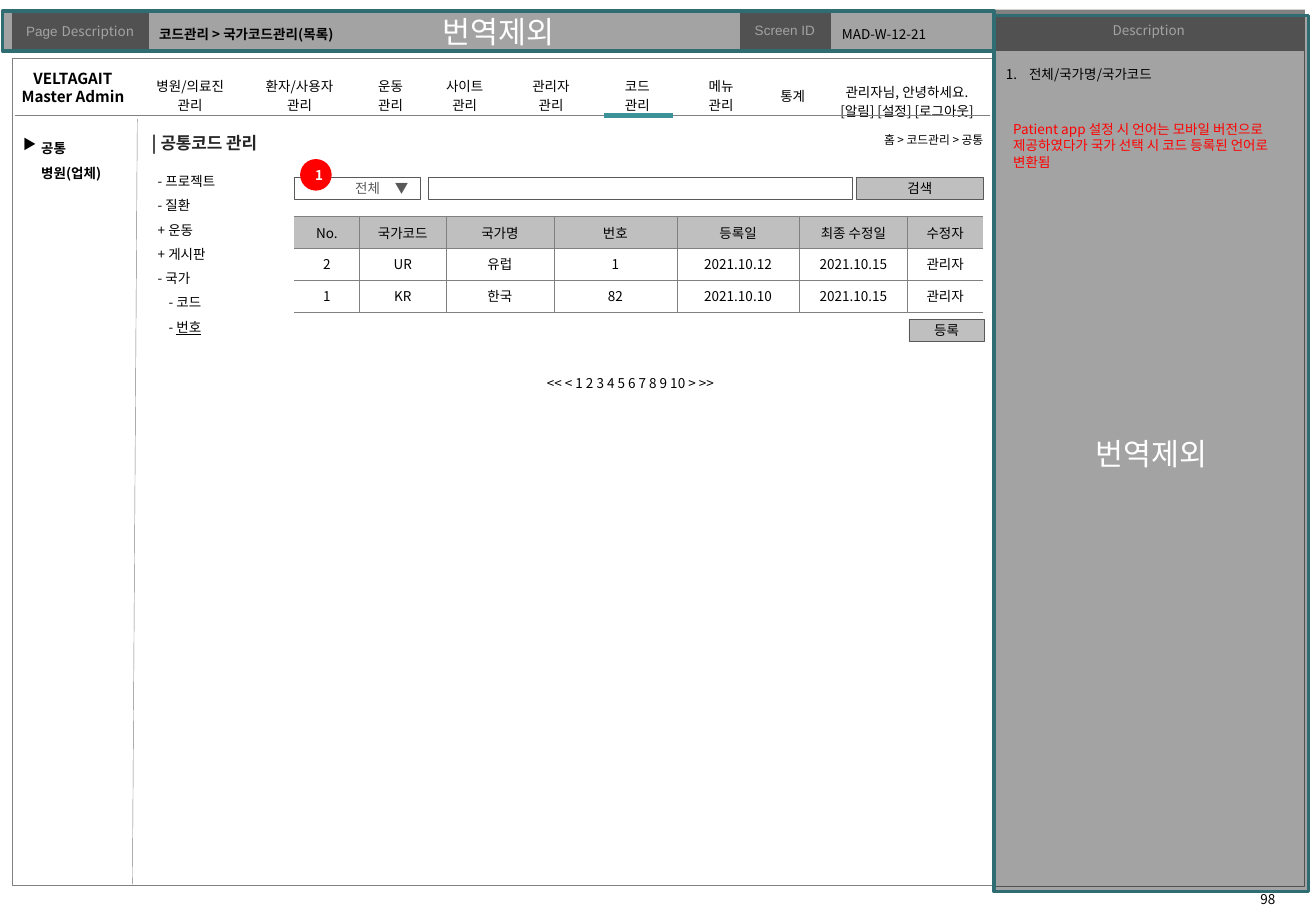
from dataclasses import dataclass
from typing import Optional

from lxml import etree
from pptx import Presentation
from pptx.dml.color import RGBColor
from pptx.enum.shapes import MSO_CONNECTOR, MSO_SHAPE
from pptx.enum.text import MSO_ANCHOR, PP_ALIGN
from pptx.oxml.ns import qn
from pptx.util import Inches, Pt

LEFT, CENTER, RIGHT = PP_ALIGN.LEFT, PP_ALIGN.CENTER, PP_ALIGN.RIGHT
TOP, MIDDLE = MSO_ANCHOR.TOP, MSO_ANCHOR.MIDDLE
RECT, OVAL = MSO_SHAPE.RECTANGLE, MSO_SHAPE.OVAL
STRAIGHT = MSO_CONNECTOR.STRAIGHT
NOTO = "Noto Sans CJK KR"
COLORS = {
    "black": "000000", "white": "FFFFFF", "gray": "808080", "silver": "BFBFBF",
    "dark": "595959", "title": "262626", "red": "FF0000", "teal": "3B9399",
    "frame": "2F6D72",
}


@dataclass
class Run:
    text: str
    size: float = 8
    color: str = "black"
    bold: bool = False
    underline: bool = False
    font: str = NOTO


@dataclass
class Para:
    runs: list[Run]
    align: PP_ALIGN = LEFT
    spacing: float = 1.0
    indent: float = 0
    numbered: bool = False


@dataclass
class Box:
    at: tuple[float, float, float, float]
    paras: list[Para]
    anchor: MSO_ANCHOR = TOP
    side: float = 0.1


@dataclass
class Panel:
    at: tuple[float, float, float, float]
    fill: Optional[str] = None
    line: Optional[str] = None
    width: float = 0.25
    run: Optional[Run] = None
    align: PP_ALIGN = CENTER
    alpha: int = 100
    kind: MSO_SHAPE = RECT


@dataclass
class Cell:
    paras: list[Para]
    fill: Optional[str] = None
    side: float = 0.1
    top: float = 0.05
    bottom: float = 0.05


@dataclass
class Rule:
    start: tuple[float, float]
    end: tuple[float, float]
    color: str = "gray"
    width: float = 0.25


def rgb(name: str) -> RGBColor:
    return RGBColor.from_string(COLORS[name])


def lines(*texts: str, align: PP_ALIGN = CENTER, spacing: float = 1.0, **style) -> list[Para]:
    return [Para([Run(t, **style)], align, spacing) for t in texts]


def write(tf, paras: list[Para]) -> None:
    for i, para in enumerate(paras):
        p = tf.add_paragraph() if i else tf.paragraphs[0]
        p.alignment, p.line_spacing = para.align, para.spacing
        if para.indent:
            p._p.get_or_add_pPr().set("marL", str(Inches(para.indent)))
        if para.numbered:
            pPr = p._p.get_or_add_pPr()
            pPr.set("indent", str(-Inches(para.indent)))
            etree.SubElement(pPr, qn("a:buAutoNum"), type="arabicPeriod")
        for run in para.runs:
            r = p.add_run()
            r.text = run.text
            r.font.size, r.font.name = Pt(run.size), run.font
            r.font.bold, r.font.underline = run.bold, run.underline
            r.font.color.rgb = rgb(run.color)
            etree.SubElement(r._r.get_or_add_rPr(), qn("a:ea"), typeface=run.font)


def add_box(s, box: Box) -> None:
    tf = s.shapes.add_textbox(*map(Inches, box.at)).text_frame
    tf.word_wrap, tf.vertical_anchor = True, box.anchor
    tf.margin_left = tf.margin_right = Inches(box.side)
    write(tf, box.paras)


def add_panel(s, panel: Panel) -> None:
    sp = s.shapes.add_shape(panel.kind, *map(Inches, panel.at))
    sp.shadow.inherit = False
    if panel.fill:
        sp.fill.solid()
        sp.fill.fore_color.rgb = rgb(panel.fill)
        if panel.alpha < 100:
            color = sp._element.spPr.find(".//" + qn("a:srgbClr"))
            etree.SubElement(color, qn("a:alpha"), val=str(panel.alpha * 1000))
    else:
        sp.fill.background()
    if panel.line:
        sp.line.color.rgb = rgb(panel.line)
        sp.line.width = Pt(panel.width)
    else:
        sp.line.fill.background()
    if panel.run:
        sp.text_frame.word_wrap, sp.text_frame.vertical_anchor = True, MIDDLE
        write(sp.text_frame, [Para([panel.run], panel.align)])


def add_rule(s, rule: Rule) -> None:
    c = s.shapes.add_connector(STRAIGHT, *map(Inches, rule.start + rule.end))
    c.line.color.rgb, c.line.width = rgb(rule.color), Pt(rule.width)
    etree.SubElement(c._element.spPr, qn("a:effectLst"))


def add_grid(s, left: float, top: float, widths: list[float], height: float,
             rows: list[list[Cell]], sides: str = "", open_ends: bool = False) -> None:
    frame = s.shapes.add_table(len(rows), len(widths), Inches(left), Inches(top),
                               Inches(sum(widths)), Inches(height * len(rows)))
    table = frame.table
    table.first_row = table.horz_banding = False
    for col, width in zip(table.columns, widths):
        col.width = Inches(width)
    for y, row in enumerate(rows):
        for x, item in enumerate(row):
            cell = table.cell(y, x)
            cell.vertical_anchor = MIDDLE
            cell.margin_left = cell.margin_right = Inches(item.side)
            cell.margin_top, cell.margin_bottom = Inches(item.top), Inches(item.bottom)
            outer = {"L": x == 0, "R": x == len(widths) - 1}
            for side in "LRTB":
                ln = etree.SubElement(cell._tc.get_or_add_tcPr(), qn("a:ln" + side),
                                      w=str(Pt(0.25)))
                if side in sides and not (open_ends and outer.get(side)):
                    solid = etree.SubElement(ln, qn("a:solidFill"))
                    etree.SubElement(solid, qn("a:srgbClr"), val=COLORS["gray"])
                else:
                    etree.SubElement(ln, qn("a:noFill"))
            if item.fill:
                cell.fill.solid()
                cell.fill.fore_color.rgb = rgb(item.fill)
            else:
                cell.fill.background()
            write(cell.text_frame, item.paras)
            if not item.paras:
                p = cell.text_frame.paragraphs[0]
                etree.SubElement(p._p, qn("a:endParaRPr"), sz="800")


HEADER = [Cell(paras, fill, 0.04, 0.04, 0.04) for paras, fill in (
    ([Para([Run("Page ", color="white", font="Arial"),
            Run("Description", color="white")], CENTER)], "gray"),
    ([], "white"),
    (lines("Screen ID", color="white", font="Arial"), "gray"),
    ([], "white"),
)]
MENUS = [(name, "관리") for name in
         ("병원/의료진", "환자/사용자", "운동", "사이트", "관리자", "코드", "메뉴")]
NAV = [Cell(lines(*texts), bottom=0.15) for texts in MENUS + [("통계",)]]
NAV.append(Cell(lines("관리자님, 안녕하세요.", "[알림] [설정] [로그아웃]")))
COUNTRIES = [
    ("No.", "국가코드", "국가명", "번호", "등록일", "최종 수정일", "수정자"),
    ("2", "UR", "유럽", "1", "2021.10.12", "2021.10.15", "관리자"),
    ("1", "KR", "한국", "82", "2021.10.10", "2021.10.15", "관리자"),
]
EXCLUDED = Run("번역제외", 18, "white")
FRAMES = [
    Panel((0.1, 0.48, 8.07, 6.81), line="gray"),
    Panel((8.17, 0.39, 2.56, 6.91), line="gray"),
    Panel((8.17, 0.08, 2.57, 0.34), "gray", run=Run("Description", color="white")),
    Panel((8.18, 0.13, 2.59, 7.21), "black", "frame", 2, EXCLUDED, alpha=36),
    Panel((0.02, 0.09, 8.16, 0.33), "black", "frame", 2, EXCLUDED, alpha=36),
]
RULES = [Rule((1.13, 0.98), (1.09, 7.28)), Rule((0.12, 0.95), (8.15, 0.95)),
         Rule((4.97, 0.95), (5.54, 0.95), "teal", 3)]
CONTROLS = [
    Panel((7.48, 2.63, 0.62, 0.18), "silver", "dark", run=Run("등록")),
    Panel((2.42, 1.46, 1.04, 0.18), None, "dark", run=Run("▼", color="dark"), align=RIGHT),
    Panel((3.52, 1.46, 3.49, 0.18), None, "dark"),
    Panel((7.05, 1.46, 1.04, 0.18), "silver", "dark", run=Run("검색")),
    Panel((2.47, 1.31, 0.26, 0.26), "red", run=Run("1", color="white", bold=True), kind=OVAL),
]
TREE = lines("- 프로젝트", "- 질환", "+ 운동", "+ 게시판", "- 국가", align=LEFT, spacing=1.5)
TREE += [Para([Run("- "), Run(name, underline=name == "번호")], LEFT, 1.5, 0.09)
         for name in ("코드", "번호")]
NOTE = "Patient app 설정 시 언어는 모바일 버전으로 제공하였다가 국가 선택 시 코드 등록된 언어로 변환됨"
BOXES = [
    Box((10.02, 7.29, 0.83, 0.2), lines("98")),
    Box((0.24, 1.04, 0.73, 0.5), lines("공통", "병원(업체)", align=LEFT, spacing=1.5, bold=True)),
    Box((0.01, 0.52, 1.18, 0.4), lines("VELTAGAIT", "Master Admin", size=9, bold=True)),
    Box((1.27, 0.13, 5.01, 0.3), lines("코드관리 > 국가코드관리(목록)", align=LEFT, bold=True),
        MIDDLE, 0.04),
    Box((6.83, 0.13, 1.3, 0.3), lines("MAD-W-12-21", align=LEFT), MIDDLE),
    Box((8.18, 0.43, 2.55, 6.9), [Para([Run("전체/국가명/국가코드")], LEFT, 1.5, 0.19, True)]),
    Box((2.77, 1.43, 0.51, 0.24), lines("전체", color="dark"), MIDDLE),
    Box((2.19, 3.04, 6, 0.24), lines("<< < 1 2 3 4 5 6 7 8 9 10 > >>")),
    Box((8.24, 0.95, 2.44, 0.5), lines(NOTE, align=LEFT, color="red")),
    Box((7.02, 1.04, 1.17, 0.22), lines("홈 > 코드관리 > 공통", align=RIGHT, size=7)),
    Box((1.15, 1.04, 1.19, 0.27),
        lines("| 공통코드 관리", align=LEFT, size=10, color="title", bold=True)),
    Box((1.2, 1.31, 0.74, 1.51), TREE),
    Box((0.09, 1.07, 0.31, 0.24), lines("▶", align=LEFT)),
]


def main() -> None:
    prs = Presentation()
    prs.slide_width, prs.slide_height = Inches(10.83), Inches(7.5)
    s = prs.slides.add_slide(prs.slide_layouts[6])
    add_grid(s, 0.1, 0.09, [1.12, 4.87, 0.74, 1.35], 0.32, [HEADER], "LRTB")
    for panel in FRAMES:
        add_panel(s, panel)
    add_grid(s, 1.14, 0.54, [0.85, 0.95, 0.55, 0.67, 0.75, 0.67, 0.71, 0.47, 1.41], 0.41, [NAV])
    for rule in RULES:
        add_rule(s, rule)
    add_grid(s, 2.42, 1.78, [0.54, 0.71, 0.89, 1.01, 1.01, 0.89, 0.62], 0.26,
             [[Cell(lines(text), None if y else "silver") for text in row]
              for y, row in enumerate(COUNTRIES)], "LRTB", open_ends=True)
    for panel in CONTROLS:
        add_panel(s, panel)
    for box in BOXES:
        add_box(s, box)
    prs.save("out.pptx")


if __name__ == "__main__":
    main()
